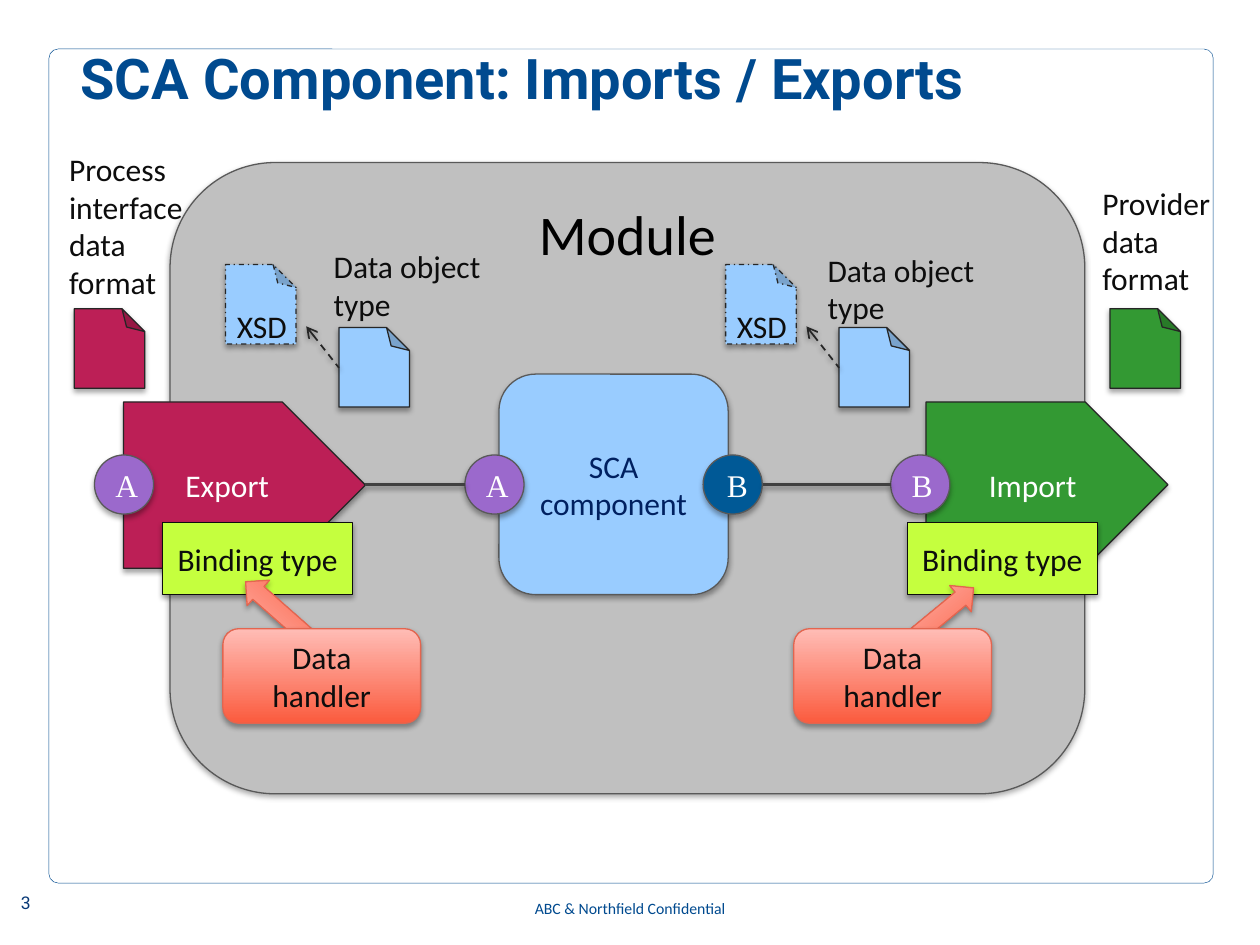
from lxml.etree import SubElement
from pptx import Presentation
from pptx.dml.color import RGBColor
from pptx.enum.dml import MSO_LINE
from pptx.enum.shapes import MSO_CONNECTOR, MSO_SHAPE
from pptx.enum.text import MSO_ANCHOR, PP_ALIGN
from pptx.oxml.ns import qn
from pptx.util import Pt

NAVY, INK, BLACK, WHITE = "004A8F", "0D0D0D", "000000", "FFFFFF"
CRIMSON, GREEN, SKY, PURPLE, LIME = "BC1F56", "339933", "99CCFF", "9B69CC", "C5FF3E"
DARK_LINE, GREY_LINE, SALMON_LINE = "262626", "595959", "E3654F"
SALMON = ("FB5B3E", "FFBDB6")
DEFAULT_INSETS = (7.2, 3.6, 7.2, 3.6)

TITLE = "SCA Component: Imports / Exports"
FOOTER = "ABC & Northfield Confidential"
PENTAGONS = [
    (" Export", (70.6, 229.7, 138.2, 95), CRIMSON, DEFAULT_INSETS),
    ("Import", (529.2, 229.7, 138.2, 94.6), GREEN, (14.4, 3.6, 7.2, 3.6)),
]
CIRCLES = [
    ("A", 54, PURPLE, DEFAULT_INSETS),
    ("A", 265.7, PURPLE, DEFAULT_INSETS),
    ("B", 509, PURPLE, DEFAULT_INSETS),
    ("B", 401.8, "005996", (8.64, 3.6, 7.2, 3.6)),
]
CIRCLE_TOP, CIRCLE_SIZE, WIRE_Y = 260, 33.8, 277
WIRES = [(208.8, 265.7), (436.3, 509)]
FORMAT_PAGES = [(42.5, CRIMSON), (634.3, GREEN)]
BINDING_LEFTS = [92.9, 518.4]
HANDLERS = [(453.6, (510.5, 342.7), 320.5), (127.4, (133.9, 339.8), 221.4)]
LABELS = [
    ("Data object\ntype", (183.6, 137.5, 102.2, 51.1)),
    ("Process interface data format", (32.4, 82.1, 97.9, 94.3)),
    ("Provider data format", (622.8, 101.5, 97.9, 72.7)),
    ("Data object\ntype", (465.8, 139.7, 102.2, 51.1)),
]
SCHEMA_OFFSETS = [0, 285.8]


def color(value):
    """Return the colour for a hex string."""
    return RGBColor.from_string(value)


def add_shadow(effects, alpha, distance):
    shadow = SubElement(effects, qn("a:outerShdw"), blurRad=str(Pt(3.1)), dist=str(Pt(distance)),
                        dir="5400000", rotWithShape="0")
    tint = SubElement(shadow, qn("a:srgbClr"), val=BLACK)
    SubElement(tint, qn("a:alpha"), val=str(alpha * 1000))


def write(shape, text, size=18, ink=INK, font="Calibri", bold=False, align=PP_ALIGN.CENTER,
          anchor=MSO_ANCHOR.MIDDLE, insets=DEFAULT_INSETS, spacing=None):
    frame = shape.text_frame
    frame.text = text
    frame.word_wrap = True
    frame.vertical_anchor = anchor
    frame.margin_left, frame.margin_top, frame.margin_right, frame.margin_bottom = map(Pt, insets)
    for paragraph in frame.paragraphs:
        paragraph.alignment = align
        if spacing:
            paragraph.line_spacing = spacing
        for run in paragraph.runs:
            run.font.size, run.font.name, run.font.bold = Pt(size), font, bold
            run.font.color.rgb = color(ink)


def add_text(box, text, **style):
    write(slide.shapes.add_textbox(*map(Pt, box)), text, anchor=MSO_ANCHOR.TOP, **style)


def add_shape(kind, box, fill, line, line_width=0.75, shadow=True):
    shape = slide.shapes.add_shape(kind, *map(Pt, box))
    shape.shadow.inherit = False
    if shadow:
        add_shadow(shape._element.spPr.find(qn("a:effectLst")), 35, 1.8)
    if fill is None:
        shape.fill.background()
    elif isinstance(fill, tuple):
        shape.fill.gradient()
        shape.fill.gradient_angle = 90
        for stop, value in zip(shape.fill.gradient_stops, fill):
            stop.color.rgb = color(value)
    else:
        shape.fill.solid()
        shape.fill.fore_color.rgb = color(fill)
    shape.line.color.rgb = color(line)
    shape.line.width = Pt(line_width)
    return shape


def add_page(left, top, fill):
    page = add_shape(MSO_SHAPE.FOLDED_CORNER, (left, top, 40.3, 45.4), fill, DARK_LINE)
    page.rotation = 180
    properties = page._element.spPr
    properties.find(qn("a:xfrm")).set("flipH", "1")
    guides = properties.find(qn("a:prstGeom")).find(qn("a:avLst"))
    SubElement(guides, qn("a:gd"), name="adj", fmla="val 32400")
    return page


def add_line(start, end, ink, width, arrow=False):
    line = slide.shapes.add_connector(MSO_CONNECTOR.STRAIGHT, *map(Pt, start + end))
    line.line.color.rgb = color(ink)
    line.line.width = Pt(width)
    properties = line._element.spPr
    if arrow:
        line.line.dash_style = MSO_LINE.DASH
        SubElement(properties.find(qn("a:ln")), qn("a:headEnd"), type="arrow")
    add_shadow(SubElement(properties, qn("a:effectLst")), 38, 1.6)


presentation = Presentation()
presentation.slide_width, presentation.slide_height = Pt(720), Pt(540)
slide = presentation.slides.add_slide(presentation.slide_layouts[6])

add_text((0, 512, 29.5, 28), "3", size=10, ink="073876", font="Roboto", insets=(0, 0, 0, 0), spacing=0.8)
border = add_shape(MSO_SHAPE.ROUNDED_RECTANGLE, (28, 28, 665.3, 476.6), None, NAVY, 0.25, False)
border.adjustments[0] = 0.011
add_text((0, 510, 720, 30), FOOTER, size=9, ink=NAVY)
add_text((46, 32.4, 604, 39.6), TITLE, size=32, ink=NAVY, font="Roboto", bold=True,
         align=PP_ALIGN.LEFT, insets=(0, 0, 0, 0), spacing=0.8)

module = add_shape(MSO_SHAPE.ROUNDED_RECTANGLE, (97.2, 92.9, 522.7, 360.7), "C0C0C0", GREY_LINE)
write(module, "Module", size=32, ink=BLACK, anchor=MSO_ANCHOR.TOP)
for text, box, fill, insets in PENTAGONS:
    write(add_shape(MSO_SHAPE.PENTAGON, box, fill, DARK_LINE), text, ink=WHITE, insets=insets)
component = add_shape(MSO_SHAPE.ROUNDED_RECTANGLE, (285.1, 213.8, 131, 126), SKY, GREY_LINE)
write(component, "SCA component", ink="002060")
for text, left, fill, insets in CIRCLES:
    circle = add_shape(MSO_SHAPE.OVAL, (left, CIRCLE_TOP, CIRCLE_SIZE, CIRCLE_SIZE), fill, GREY_LINE)
    write(circle, text, ink=WHITE, font="Times New Roman", insets=insets)
for start, end in WIRES:
    add_line((start, WIRE_Y), (end, WIRE_Y), "404040", 2)
for left, fill in FORMAT_PAGES:
    add_page(left, 176.4, fill)
for left in BINDING_LEFTS:
    write(add_shape(MSO_SHAPE.RECTANGLE, (left, 298.8, 108.7, 41), LIME, INK), "Binding type")
for left, arrow_corner, rotation in HANDLERS:
    arrow = add_shape(MSO_SHAPE.RIGHT_ARROW, arrow_corner + (51.8, 19.4), SALMON, SALMON_LINE)
    arrow.rotation = rotation
    handler = add_shape(MSO_SHAPE.ROUNDED_RECTANGLE, (left, 359.3, 113, 54), SALMON, SALMON_LINE)
    write(handler, "Data handler")
for text, box in LABELS:
    add_text(box, text, align=PP_ALIGN.LEFT)
for offset in SCHEMA_OFFSETS:
    add_page(193.7 + offset, 187.2, SKY)
    schema = add_page(128.9 + offset, 151.2, SKY)
    schema.line.dash_style = MSO_LINE.DASH_DOT
    add_text((128.2 + offset, 172.1, 46.8, 28.8), "XSD", align=PP_ALIGN.LEFT)
    add_line((175 + offset, 186.5), (193.7 + offset, 210.2), DARK_LINE, 1, arrow=True)

presentation.save("out.pptx")
